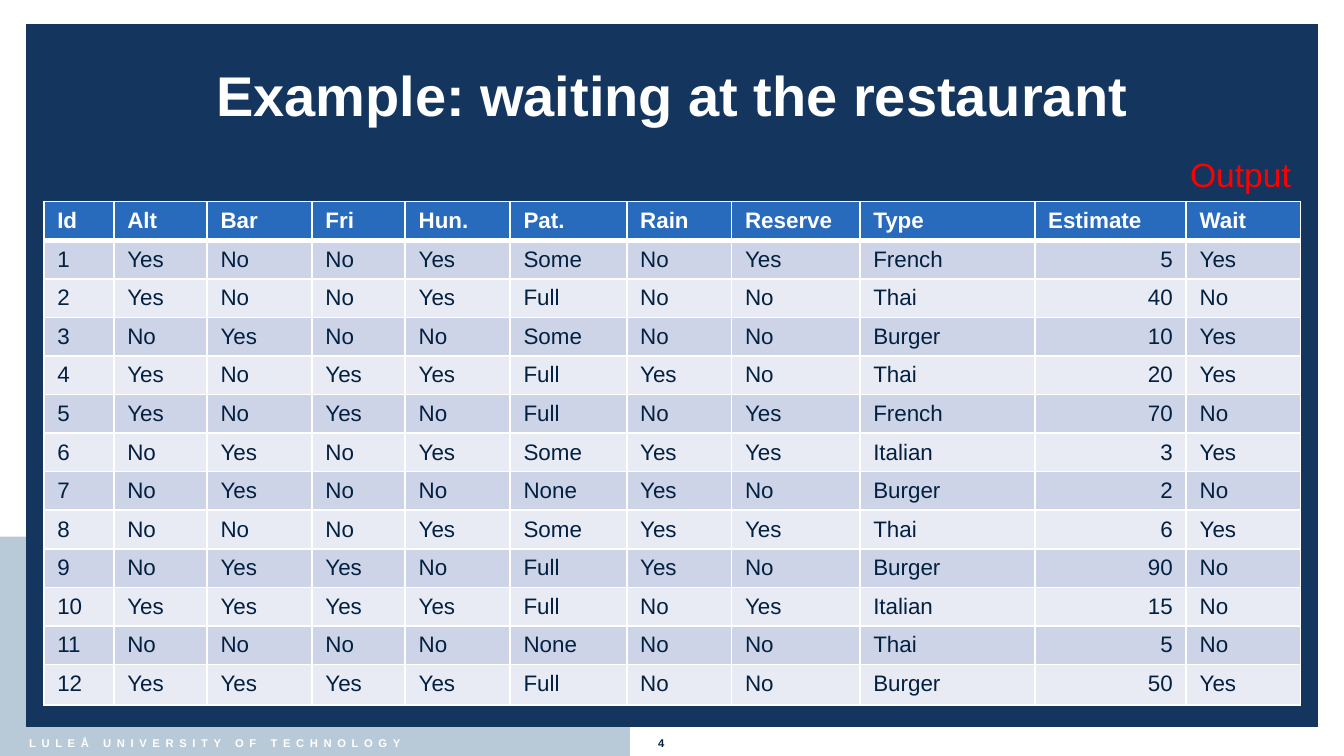
"""Build the slide with the restaurant waiting examples."""
from pptx import Presentation
from pptx.dml.color import RGBColor
from pptx.enum.shapes import MSO_SHAPE as Shape
from pptx.enum.text import MSO_ANCHOR as Anchor, PP_ALIGN as Align
from pptx.oxml import parse_xml
from pptx.oxml.ns import nsdecls
from pptx.util import Pt

HEADERS = ["Id", "Alt", "Bar", "Fri", "Hun.", "Pat.", "Rain", "Reserve", "Type", "Estimate", "Wait"]
WIDTHS = [37.5, 50, 56.2, 50, 56.2, 62.5, 56.2, 68.7, 93.7, 81.2, 61.2]
EXAMPLES = """
1 Yes No No Yes Some No Yes French 5 Yes
2 Yes No No Yes Full No No Thai 40 No
3 No Yes No No Some No No Burger 10 Yes
4 Yes No Yes Yes Full Yes No Thai 20 Yes
5 Yes No Yes No Full No Yes French 70 No
6 No Yes No Yes Some Yes Yes Italian 3 Yes
7 No Yes No No None Yes No Burger 2 No
8 No No No Yes Some Yes Yes Thai 6 Yes
9 No Yes Yes No Full Yes No Burger 90 No
10 Yes Yes Yes Yes Full No Yes Italian 15 No
11 No No No No None No No Thai 5 No
12 Yes Yes Yes Yes Full No No Burger 50 Yes
"""


def color(value):
    return RGBColor.from_string(value)


def paint(fill, value):
    fill.solid()
    fill.fore_color.rgb = color(value)


def write(para, text, size=12, ink="032040", bold=False, align=Align.LEFT, spacing=0):
    para.alignment = align
    span = para.add_run()
    span.text = text
    span.font.name = "Arial"
    span.font.size = Pt(size)
    span.font.bold = bold
    span.font.color.rgb = color(ink)
    if spacing:
        span.font._element.set("spc", str(spacing * 100))


class Painter:
    white, navy, mist = "FFFFFF", "14355E", "B8C9D7"
    header, bands = "286BBD", ("CDD4E8", "E8EBF4")

    def __init__(self, slide):
        self.slide = slide
        self.shapes = slide.shapes
        paint(slide.background.fill, self.white)

    def panel(self, left, top, width, height, fill):
        box = self.shapes.add_shape(Shape.RECTANGLE, Pt(left), Pt(top), Pt(width), Pt(height))
        box.shadow.inherit = False
        box.line.fill.background()
        paint(box.fill, fill)

    def title(self, text, left, top, width, height):
        box = self.shapes.title
        self.shapes.element.append(box.element)
        box.left, box.top, box.width, box.height = Pt(left), Pt(top), Pt(width), Pt(height)
        box.text_frame.vertical_anchor = Anchor.MIDDLE
        write(box.text_frame.paragraphs[0], text, size=30, ink=self.white, bold=True, align=Align.CENTER)

    def text_box(self, left, top, width, height, wrap=False):
        box = self.shapes.add_textbox(Pt(left), Pt(top), Pt(width), Pt(height))
        box.text_frame.word_wrap = wrap
        return box.text_frame.paragraphs[0]

    def label(self, text, left, top, width, height, **style):
        write(self.text_box(left, top, width, height), text, **style)

    def footer(self, text, number, left, top, width, height, tab):
        para = self.text_box(left, top, width, height, wrap=True)
        para._p.get_or_add_pPr().append(parse_xml(
            f'<a:tabLst {nsdecls("a")}><a:tab pos="{Pt(tab)}" algn="l"/></a:tabLst>'))
        write(para, text + "\t", size=6, ink=self.white, bold=True, spacing=3)
        write(para, number, size=6, bold=True)

    def border(self, cell, side, width):
        cell._tc.get_or_add_tcPr().append(parse_xml(
            f'<a:ln{side} {nsdecls("a")} w="{Pt(width)}"><a:solidFill>'
            f'<a:srgbClr val="{self.white}"/></a:solidFill></a:ln{side}>'))

    def cell(self, cell, text, row, column):
        heavy = {0: "B", 1: "T"}.get(row)
        for side in "LRTB":
            self.border(cell, side, 3 if side == heavy else 1)
        paint(cell.fill, self.bands[(row - 1) % 2] if row else self.header)
        numeric = row > 0 and HEADERS[column] == "Estimate"
        write(cell.text_frame.paragraphs[0], text, bold=row == 0,
              ink=self.navy_text if row else self.white,
              align=Align.RIGHT if numeric else Align.LEFT)

    navy_text = "032040"

    def table(self, rows, widths, left, top, row_height, last_height):
        height = row_height * (len(rows) - 1) + last_height
        table = self.shapes.add_table(
            len(rows), len(widths), Pt(left), Pt(top), Pt(sum(widths)), Pt(height)).table
        table.horz_banding = False
        for column, width in zip(table.columns, widths):
            column.width = Pt(width)
        for i, texts in enumerate(rows):
            table.rows[i].height = Pt(last_height if i == len(rows) - 1 else row_height)
            for j, text in enumerate(texts):
                self.cell(table.cell(i, j), text, i, j)


def main():
    deck = Presentation()
    deck.slide_width, deck.slide_height = Pt(720), Pt(405)
    page = Painter(deck.slides.add_slide(deck.slide_layouts[5]))
    page.panel(0, 287.5, 337.5, 117.5, page.mist)
    page.panel(14, 13, 692, 376.5, page.navy)
    page.footer("LULEÅ UNIVERSITY OF TECHNOLOGY", "4", 8.5, 391, 363.5, 14, tab=337)
    page.title("Example: waiting at the restaurant", 25.5, 14.5, 669, 71.5)
    rows = [HEADERS] + [line.split() for line in EXAMPLES.strip().splitlines()]
    page.table(rows, WIDTHS, 23.5, 108, row_height=19.5, last_height=21.6)
    page.label("Output", 630.5, 79, 69, 29, size=18, ink="FF0000")
    deck.save("out.pptx")


if __name__ == "__main__":
    main()
